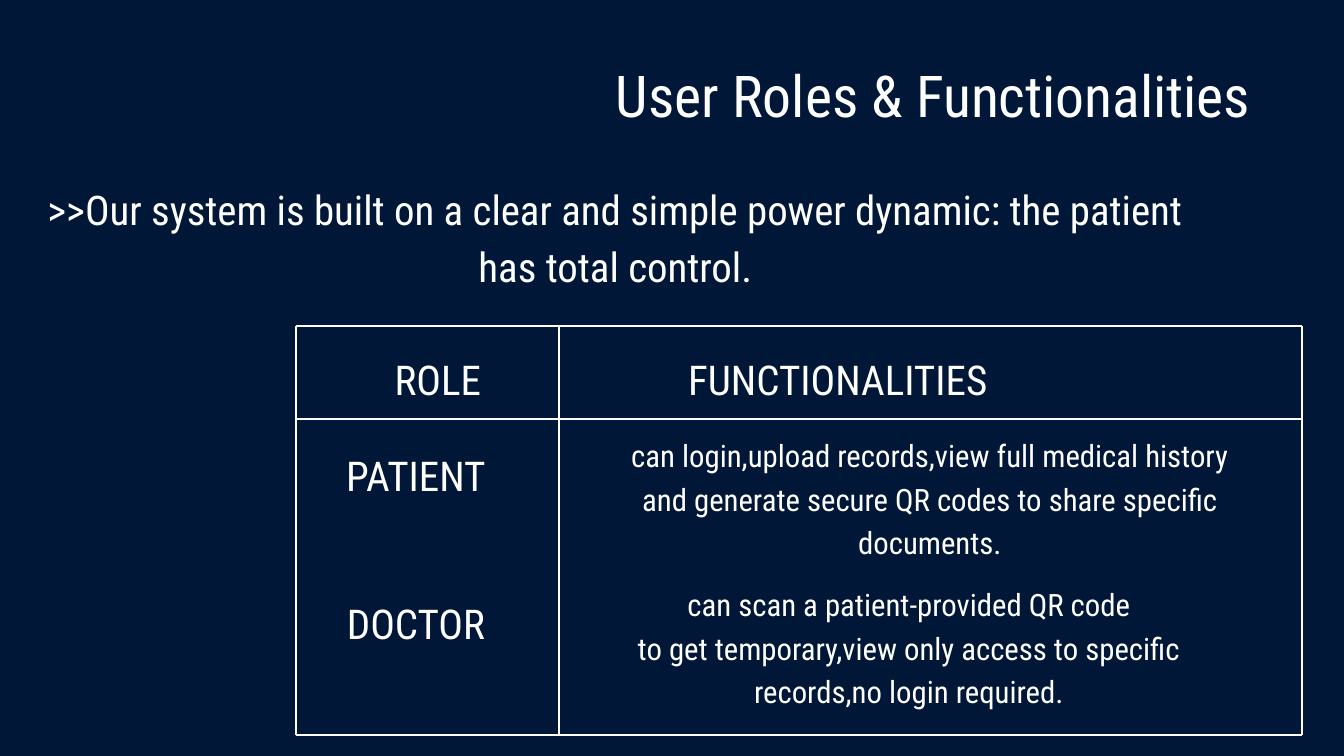
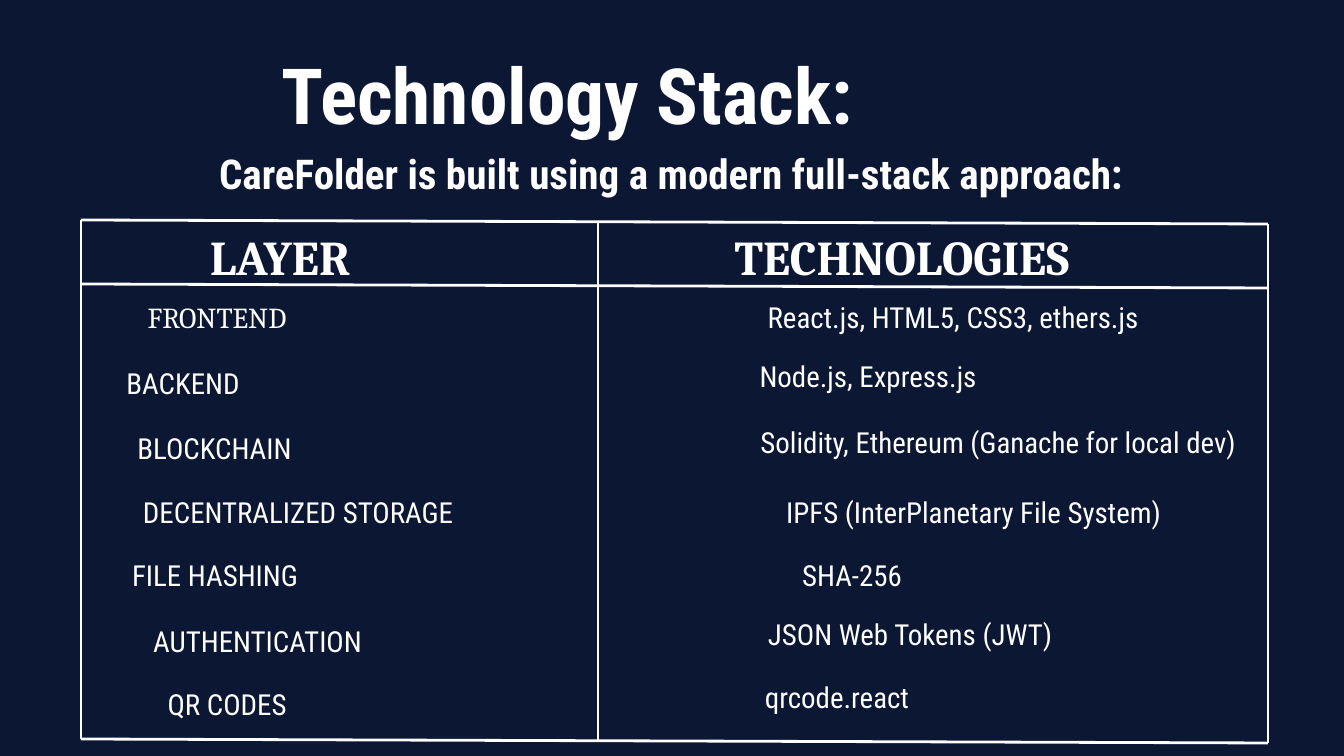
from dataclasses import dataclass

from lxml import etree
from pptx import Presentation
from pptx import util as u
from pptx.dml.color import RGBColor
from pptx.enum import shapes, text
from pptx.oxml.ns import qn

# Boxes are (left, top, width, height) in px on a 1344 x 756 page.
ROLES = {
    "background": "011737",
    "title": ("User Roles & Functionalities", (565, 48, 737, 75), 61.8, False),
    "lead": (
        ">>Our system is built on a clear and simple power dynamic: "
        "the patient has total control.",
        (19, 176, 1193, 112), 43.8, False,
    ),
    "headings": [
        ("ROLE", (338, 346, 200, 53)),
        ("FUNCTIONALITIES", (638, 346, 400, 53)),
    ],
    "labels": [
        ("PATIENT", (321, 442, 190, 54)),
        ("DOCTOR", (321, 590, 190, 54)),
    ],
    "details": [
        ("can login,upload records,view full medical history\n"
         "and generate secure QR codes to share specific\n"
         "documents.", (622, 431, 616, 128)),
        ("can scan a patient-provided QR code\n"
         "to get temporary,view only access to specific\n"
         "records,no login required.", (619, 580, 580, 128)),
    ],
    "grid": {"columns": (296, 559, 1302), "rows": (326, 419, 735)},
}

STACK = {
    "background": "0B1733",
    "title": ("Technology Stack:", (156, 32, 823, 100), 83, True),
    "lead": (
        "CareFolder is built using a modern full-stack approach:",
        (75, 140, 1193, 58), 44, True,
    ),
    "headings": [
        ("LAYER", (180, 217, 200, 66)),
        ("TECHNOLOGIES", (702, 217, 400, 66)),
    ],
    "layers": [
        ("FRONTEND", (122, 294, 190, 40)),
        ("BACKEND", (118, 360, 130, 40)),
        ("BLOCKCHAIN", (75, 425, 279, 40)),
        ("DECENTRALIZED STORAGE", (118, 489, 360, 40)),
        ("FILE HASHING", (118, 552, 194, 40)),
        ("AUTHENTICATION", (118, 618, 279, 40)),
        ("QR CODES", (130, 681, 194, 40)),
    ],
    "technologies": [
        ("React.js, HTML5, CSS3, ethers.js", (757, 294, 392, 40)),
        ("Node.js, Express.js", (757, 353, 222, 40)),
        ("Solidity, Ethereum (Ganache for local dev)", (748, 419, 500, 40)),
        ("IPFS (InterPlanetary File System)", (755, 489, 437, 40)),
        ("SHA-256", (755, 552, 194, 40)),
        ("JSON Web Tokens (JWT)", (730, 611, 360, 40)),
        ("qrcode.react", (764, 674, 146, 40)),
    ],
    "grid": {"columns": (81, 598, 1268), "rows": (220, 284, 739), "tilt": 4},
}


@dataclass(frozen=True)
class Theme:
    ink: str = "FFFFFF"
    sans: str = "Roboto Condensed"
    serif: str = "Cambria"
    role_size: int = 44
    detail_size: int = 33
    stack_heading_size: int = 52
    stack_size: int = 31
    leading: float = 1.4
    rule_width: int = 3


THEME = Theme()
PAGE_WIDTH, PAGE_HEIGHT = 1344, 756
EMU_PER_PX = u.Inches(20) / PAGE_WIDTH


def px(length):
    return u.Emu(round(length * EMU_PER_PX))


def write(shape, content, *, size, font=THEME.sans, bold=False):
    """Fill a shape with centred paragraphs, one for each line of content."""
    frame = shape.text_frame
    frame.margin_left = frame.margin_top = frame.margin_right = frame.margin_bottom = 0
    frame.word_wrap = True
    frame.auto_size = text.MSO_AUTO_SIZE.NONE
    frame.vertical_anchor = text.MSO_ANCHOR.TOP
    frame.text = content
    for paragraph in frame.paragraphs:
        if shape.is_placeholder:
            properties = paragraph._p.get_or_add_pPr()
            properties.set("marL", "0")
            properties.set("indent", "0")
            etree.SubElement(properties, qn("a:buNone"))
        paragraph.alignment = text.PP_ALIGN.CENTER
        paragraph.line_spacing = u.Pt(round(size * THEME.leading, 1))
        paragraph.space_before = u.Pt(0)
        for run in paragraph.runs:
            run.font.name = font
            run.font.size = u.Pt(size)
            run.font.bold = bold
            run.font.color.rgb = RGBColor.from_string(THEME.ink)


def fill_placeholder(shape, content, box, size, bold):
    shape.left, shape.top, shape.width, shape.height = map(px, box)
    write(shape, content, size=size, bold=bold)


def add_labels(slide, labels, **style):
    for content, box in labels:
        write(slide.shapes.add_textbox(*map(px, box)), content, **style)


def add_rule(slide, *ends):
    rule = slide.shapes.add_connector(shapes.MSO_CONNECTOR.STRAIGHT, *map(px, ends))
    rule.line.color.rgb = RGBColor.from_string(THEME.ink)
    rule.line.width = u.Pt(THEME.rule_width)
    etree.SubElement(rule._element.spPr, qn("a:effectLst"))


def add_grid(slide, columns, rows, tilt=0):
    """Rule a grid whose right edge sits tilt px below its left edge."""
    left, right = columns[0], columns[-1]
    top, bottom = rows[0], rows[-1]
    for y in rows:
        add_rule(slide, left, y, right, y + tilt)
    for x in columns:
        drop = tilt * (x - left) / (right - left)
        add_rule(slide, x, top + drop, x, bottom + drop)


def start_slide(presentation, content):
    slide = presentation.slides.add_slide(presentation.slide_layouts[1])
    fill = slide.background.fill
    fill.solid()
    fill.fore_color.rgb = RGBColor.from_string(content["background"])
    fill_placeholder(slide.shapes.title, *content["title"])
    fill_placeholder(slide.placeholders[1], *content["lead"])
    add_grid(slide, **content["grid"])
    return slide


def build_roles(presentation):
    slide = start_slide(presentation, ROLES)
    add_labels(slide, ROLES["headings"] + ROLES["labels"], size=THEME.role_size)
    add_labels(slide, ROLES["details"], size=THEME.detail_size)


def build_stack(presentation):
    slide = start_slide(presentation, STACK)
    add_labels(slide, STACK["headings"], size=THEME.stack_heading_size,
               font=THEME.serif, bold=True)
    add_labels(slide, STACK["layers"][:1], size=THEME.stack_size, font=THEME.serif)
    add_labels(slide, STACK["layers"][1:] + STACK["technologies"], size=THEME.stack_size)


def main():
    presentation = Presentation()
    presentation.slide_width = px(PAGE_WIDTH)
    presentation.slide_height = px(PAGE_HEIGHT)
    build_roles(presentation)
    build_stack(presentation)
    presentation.save("out.pptx")


if __name__ == "__main__":
    main()
